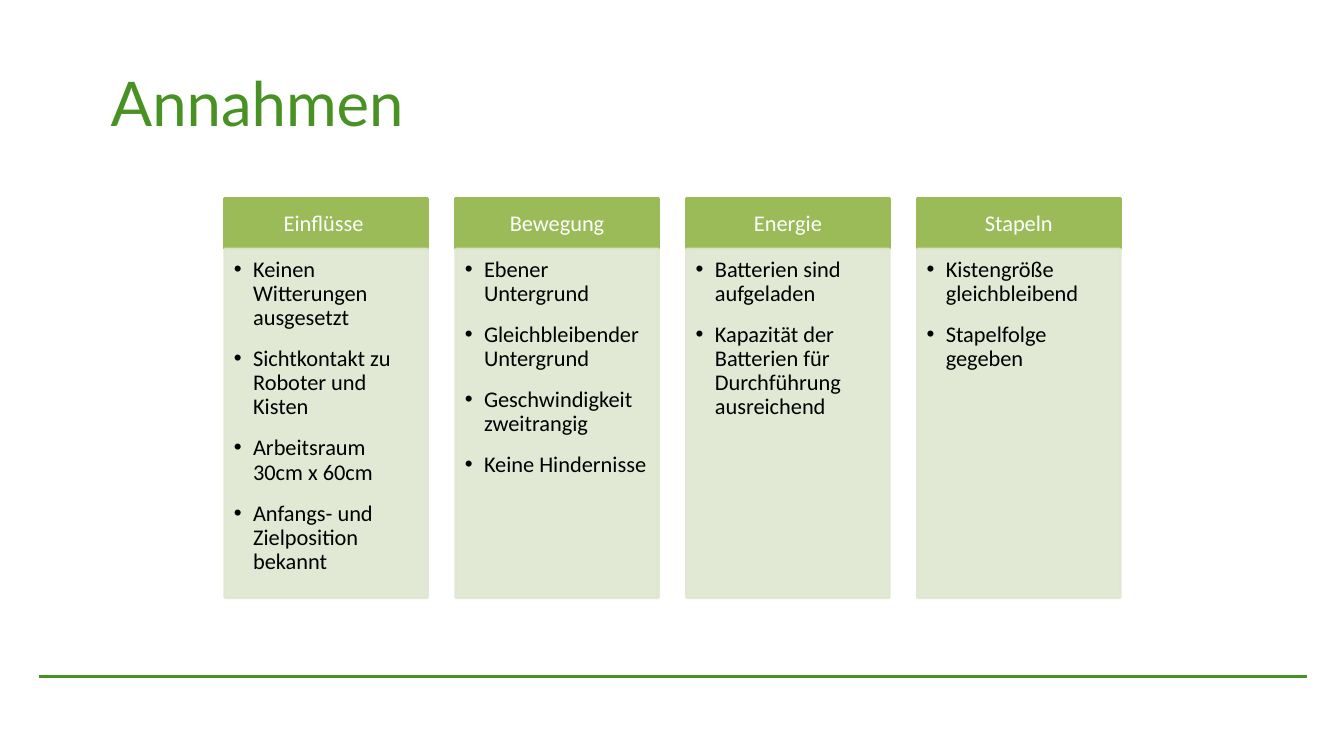
from lxml import etree
from pptx import Presentation
from pptx import util as u
from pptx.dml import color
from pptx.enum import shapes, text
from pptx.oxml import ns

SCALE = 9144
COLUMNS = [
    ("Einflüsse ", ["Keinen Witterungen ausgesetzt", "Sichtkontakt zu Roboter und Kisten",
                    "Arbeitsraum 30cm x 60cm", "Anfangs- und Zielposition bekannt"]),
    ("Bewegung", ["Ebener Untergrund", "Gleichbleibender Untergrund",
                  "Geschwindigkeit zweitrangig", "Keine Hindernisse"]),
    ("Energie", ["Batterien sind aufgeladen",
                 "Kapazität der Batterien für Durchführung ausreichend"]),
    ("Stapeln", ["Kistengröße gleichbleibend", "Stapelfolge gegeben"]),
]


def px(*values):
    return [u.Emu(value * SCALE) for value in values]


def rgb(code):
    return color.RGBColor.from_string(code)


def add(parent, tag, **attrs):
    return etree.SubElement(parent, ns.qn(tag), attrs)


def write(frame, lines, size=16, font="Calibri", ink="000000", inset=(10, 5, 10, 5),
          align=text.PP_ALIGN.LEFT, anchor=text.MSO_ANCHOR.TOP, space=None, after=0, indent=0):
    frame.word_wrap = True
    frame.vertical_anchor = anchor
    (frame.margin_left, frame.margin_top,
     frame.margin_right, frame.margin_bottom) = px(*inset)
    for index, line in enumerate(lines):
        para = frame.paragraphs[0] if index == 0 else frame.add_paragraph()
        para.alignment = align
        para.space_after = u.Pt(after)
        if space:
            para.line_spacing = space
        if indent:
            para.level = 1
            props = para._p.get_or_add_pPr()
            props.set("marL", str(indent * SCALE))
            props.set("indent", str(-indent * SCALE))
            add(props, "a:buFont", typeface="Arial")
            add(props, "a:buChar", char="•")
        run = para.add_run()
        run.text = line
        run.font.size = u.Pt(size)
        run.font.name = font
        run.font.color.rgb = rgb(ink)


class Deck:
    green = "479223"
    head = "9BBB59"
    pale = "DEE7D1"

    def __init__(self):
        self.show = Presentation()
        self.show.slide_width, self.show.slide_height = px(1333, 750)
        self.slide = self.show.slides.add_slide(self.show.slide_layouts[6])

    def rule(self, left, top, right):
        line = self.slide.shapes.add_connector(
            shapes.MSO_CONNECTOR.STRAIGHT, *px(left, top, right, top))
        line.line.color.rgb = rgb(self.green)
        line.line.width = u.Pt(2.25)
        add(line._element.spPr, "a:effectLst")

    def title(self, words, *place):
        box = self.slide.shapes.add_textbox(*px(*place))
        write(box.text_frame, [words], size=44, font="Lato", ink=self.green)

    def panel(self, lines, fill, *place, alpha=100, **style):
        box = self.slide.shapes.add_shape(shapes.MSO_SHAPE.RECTANGLE, *px(*place))
        box.shadow.inherit = False
        box.fill.solid()
        box.fill.fore_color.rgb = rgb(fill)
        box.line.color.rgb = rgb(fill)
        box.line.width = u.Pt(2)
        if alpha < 100:
            for tone in box._element.spPr.iter(ns.qn("a:srgbClr")):
                add(tone, "a:alpha", val=str(alpha * 1000))
        write(box.text_frame, lines, space=0.9, **style)

    def column(self, left, name, points):
        self.panel([name], self.head, left, 197, 201, 50, ink="FFFFFF",
                   inset=(12, 7, 12, 7), align=text.PP_ALIGN.CENTER,
                   anchor=text.MSO_ANCHOR.MIDDLE)
        self.panel(points, self.pale, left, 247, 201, 346, alpha=90,
                   inset=(9, 9, 12, 14), after=12, indent=19)


def main():
    deck = Deck()
    deck.rule(39, 671, 1296)
    deck.title("Annahmen", 100, 59, 650, 84)
    for index, (name, points) in enumerate(COLUMNS):
        deck.column(223 + index * 229, name, points)
    deck.show.save("out.pptx")


if __name__ == "__main__":
    main()
